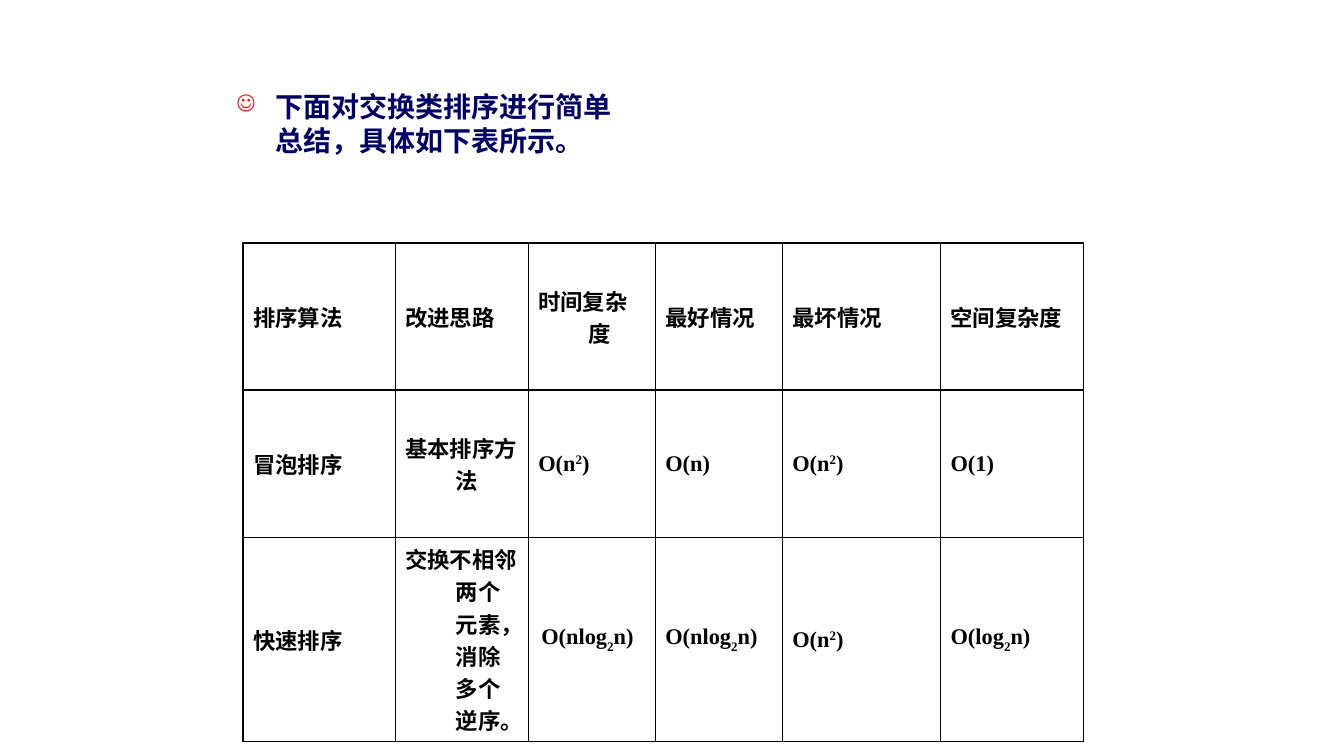
from dataclasses import dataclass

from lxml import etree
from pptx import Presentation
from pptx.dml.color import RGBColor
from pptx.enum import text
from pptx.oxml import ns
from pptx.util import Inches, Pt


@dataclass(frozen=True)
class Theme:
    navy: str = "000066"
    black: str = "000000"
    red: str = "FF0000"
    intro_size: int = 20
    cell_size: int = 16
    intro_font: str = "Arial"
    cell_font: str = "Times New Roman"
    border_width: int = 1


THEME = Theme()
INTRO = "下面对交换类排序进行简单总结，具体如下表所示。"
COLUMN_WIDTHS = [1.51, 1.32, 1.26, 1.26, 1.57, 1.42]
# The last row holds six lines of text
ROW_HEIGHTS = [1.46, 1.46, 2.03]

# "|" separates runs; a leading "^" raises a run and "_" lowers it
SQUARE = "O(n|^2|)"
N_LOG_N = "O(nlog|_2|n)"
ROWS = [
    ["排序算法", "改进思路", "时间复杂度", "最好情况", "最坏情况", "空间复杂度"],
    ["冒泡排序", "基本排序方法", SQUARE, "O(n)", SQUARE, "O(1)"],
    ["快速排序", "交换不相邻两个元素，消除多个逆序。", N_LOG_N, N_LOG_N, SQUARE,
     "O(log|_2|n)"],
]
BASELINES = {"^": "30000", "_": "-30000"}


def add_node(parent, tag, **attributes):
    return etree.SubElement(parent, ns.qn(tag), attributes)


def set_hanging(p, left, first):
    pPr = p._p.get_or_add_pPr()
    pPr.set("marL", str(Inches(left)))
    pPr.set("indent", str(Inches(first)))
    return pPr


def add_runs(p, marked, name, size, color):
    for part in marked.split("|"):
        r = p.add_run()
        baseline = BASELINES.get(part[0])
        r.text = part[1:] if baseline else part
        for key, value in {"name": name, "size": Pt(size), "bold": True}.items():
            setattr(r.font, key, value)
        r.font.color.rgb = RGBColor.from_string(color)
        if baseline:
            r._r.get_or_add_rPr().set("baseline", baseline)


def add_intro(s):
    sp = s.shapes.add_textbox(Inches(2.25), Inches(0.84), Inches(4.17), Inches(0.79))
    tf = sp.text_frame
    tf.word_wrap = True
    p = tf.paragraphs[0]
    pPr = set_hanging(p, 0.38, -0.38)
    # Red smiley bullet
    add_node(add_node(pPr, "a:buClr"), "a:srgbClr", val=THEME.red)
    add_node(pPr, "a:buSzPct", val="80000")
    add_node(pPr, "a:buChar", char="☺")
    add_runs(p, INTRO, THEME.intro_font, THEME.intro_size, THEME.navy)


def add_borders(cell):
    tcPr = cell._tc.get_or_add_tcPr()
    for side in "LRTB":
        line = add_node(tcPr, f"a:ln{side}", w=str(Pt(THEME.border_width)))
        add_node(add_node(line, "a:solidFill"), "a:srgbClr", val=THEME.black)


def fill_cell(cell, marked, first_indent):
    add_borders(cell)
    cell.fill.background()
    cell.vertical_anchor = text.MSO_ANCHOR.MIDDLE
    p = cell.text_frame.paragraphs[0]
    set_hanging(p, 0.5, first_indent)
    add_runs(p, marked, THEME.cell_font, THEME.cell_size, THEME.black)


def add_comparison(s):
    frame = s.shapes.add_table(
        len(ROWS), len(COLUMN_WIDTHS), Inches(2.41), Inches(2.41),
        Inches(sum(COLUMN_WIDTHS)), Inches(sum(ROW_HEIGHTS)))
    table = frame.table
    table.first_row = table.horz_banding = False
    for column, width in zip(table.columns, COLUMN_WIDTHS):
        column.width = Inches(width)
    for i, (row, height) in enumerate(zip(ROWS, ROW_HEIGHTS)):
        table.rows[i].height = Inches(height)
        for j, marked in enumerate(row):
            # The average time of quick sort starts slightly further in
            fill_cell(table.cell(i, j), marked, -0.47 if (i, j) == (2, 2) else -0.5)


def main():
    prs = Presentation()
    prs.slide_width, prs.slide_height = Inches(13.33), Inches(7.5)
    s = prs.slides.add_slide(prs.slide_layouts[6])
    # Introductory sentence
    add_intro(s)
    # Table of exchange sorts
    add_comparison(s)
    prs.save("out.pptx")


if __name__ == "__main__":
    main()
